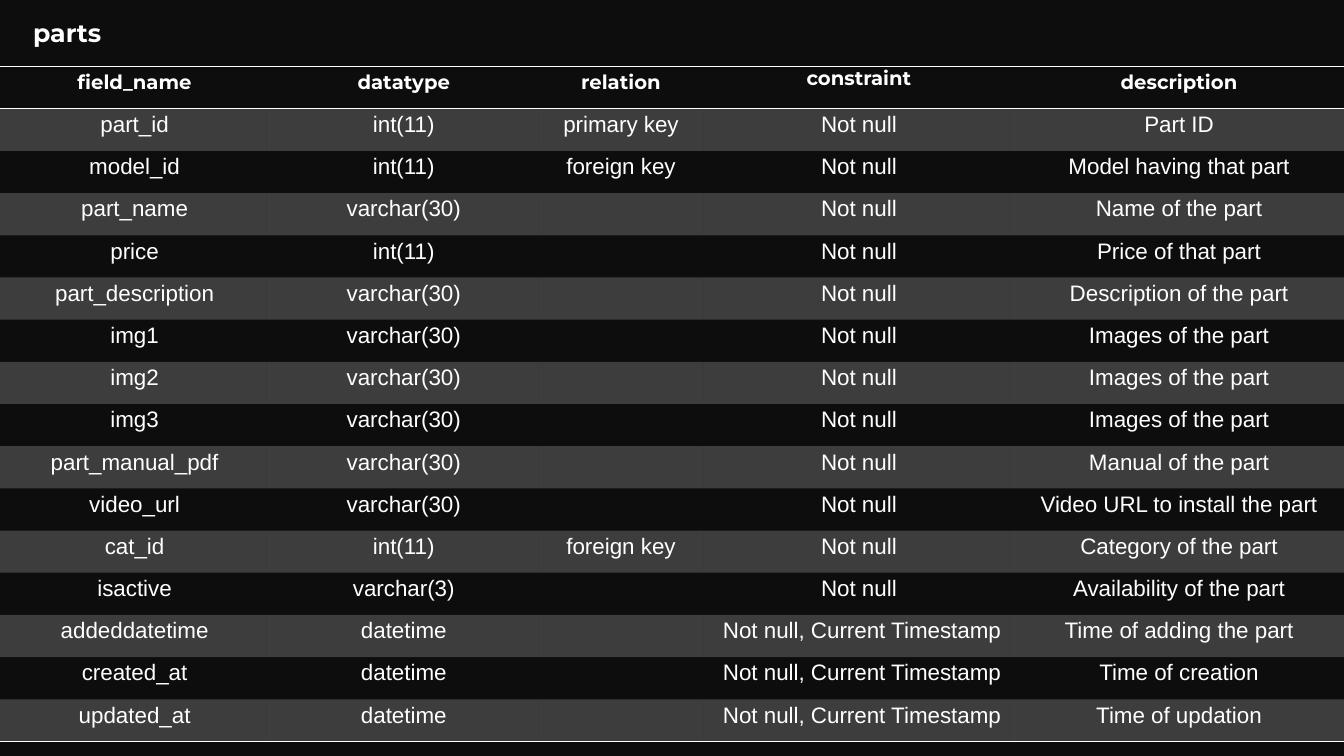
from dataclasses import dataclass

from lxml import etree
from pptx import Presentation
from pptx.dml.color import RGBColor
from pptx.enum.text import MSO_ANCHOR, PP_ALIGN
from pptx.oxml.ns import qn
from pptx.util import Inches, Pt

CENTER, LEFT = PP_ALIGN.CENTER, PP_ALIGN.LEFT
MIDDLE = MSO_ANCHOR.MIDDLE
PLAIN_TABLE_STYLE = "{2D5ABB26-0587-4C30-8999-92F81FD0307C}"

TITLE = "parts"
HEADERS = ("field_name", "datatype", "relation", "constraint", "description")
REQUIRED = "Not null"
STAMPED = " Not null, Current Timestamp"
FIELDS = [
    ("part_id", "int(11)", "primary key", REQUIRED, "Part ID"),
    ("model_id", "int(11)", "foreign key", REQUIRED, "Model having that part"),
    ("part_name", "varchar(30)", "", REQUIRED, "Name of the part"),
    ("price", "int(11)", "", REQUIRED, "Price of that part"),
    ("part_description", "varchar(30)", "", REQUIRED, "Description of the part"),
    ("img1", "varchar(30)", "", REQUIRED, "Images of the part"),
    ("img2", "varchar(30)", "", REQUIRED, "Images of the part"),
    ("img3", "varchar(30)", "", REQUIRED, "Images of the part"),
    ("part_manual_pdf", "varchar(30)", "", REQUIRED, "Manual of the part"),
    ("video_url", "varchar(30)", "", REQUIRED, "Video URL to install the part"),
    ("cat_id", "int(11)", "foreign key", REQUIRED, "Category of the part"),
    ("isactive", "varchar(3)", "", REQUIRED, "Availability of the part"),
    ("addeddatetime", "datetime", "", STAMPED, "Time of adding the part"),
    ("created_at", "datetime", "", STAMPED, "Time of creation"),
    ("updated_at", "datetime", "", STAMPED, "Time of updation"),
]
ROWS = [HEADERS, *FIELDS]

SLIDE_WIDTH, SLIDE_HEIGHT = 13.33, 7.5
TABLE_TOP, TABLE_HEIGHT = 0.66, 6.7
COLUMN_WIDTHS = (2.67, 2.67, 1.64, 3.08, 3.27)
CELL_INSET = 0.07


@dataclass(frozen=True)
class Theme:
    background: str = "0D0D0D"
    foreground: str = "FFFFFF"
    band_opacity: int = 20
    heading_font: str = "Montserrat"
    body_font: str = "Arial"
    title_size: int = 18
    header_size: int = 14
    body_size: int = 16
    rule_width: int = 1


THEME = Theme()


def write_text(frame, text, *, font, size, bold=False, align=LEFT, spacing=None, after=None):
    paragraph = frame.paragraphs[0]
    paragraph.alignment = align
    paragraph.line_spacing = spacing
    paragraph.space_after = None if after is None else Pt(after)
    run = paragraph.add_run()
    run.text = text
    run.font.name = font
    run.font.size = Pt(size)
    run.font.bold = bold
    run.font.color.rgb = RGBColor.from_string(THEME.foreground)


def fill_band(cell):
    cell.fill.solid()
    cell.fill.fore_color.rgb = RGBColor.from_string(THEME.foreground)
    color = cell.fill._xPr.find(f".//{qn('a:srgbClr')}")
    etree.SubElement(color, qn("a:alpha"), val=str(THEME.band_opacity * 1000))


def add_rule(cell, side):
    line = etree.Element(qn(f"a:{side}"), w=str(Pt(THEME.rule_width)))
    fill = etree.SubElement(line, qn("a:solidFill"))
    etree.SubElement(fill, qn("a:srgbClr"), val=THEME.foreground)
    cell._tc.get_or_add_tcPr().insert(0, line)


def format_cell(cell, text, row, column):
    is_header = row == 0
    cell.margin_left = cell.margin_right = Inches(CELL_INSET)
    cell.margin_top = cell.margin_bottom = 0
    if row % 2:
        fill_band(cell)
    else:
        cell.fill.background()
    if is_header or row == len(ROWS) - 1:
        add_rule(cell, "lnB")
    if is_header:
        add_rule(cell, "lnT")
    if text:
        compact = is_header and HEADERS[column] == "constraint"
        write_text(
            cell.text_frame, text, align=CENTER, bold=is_header,
            font=THEME.heading_font if is_header else THEME.body_font,
            size=THEME.header_size if is_header else THEME.body_size,
            spacing=None if compact else 1.15, after=None if compact else 10,
        )


def add_field_table(slide):
    frame = slide.shapes.add_table(
        len(ROWS), len(HEADERS), 0, Inches(TABLE_TOP), Inches(SLIDE_WIDTH), Inches(TABLE_HEIGHT)
    )
    table = frame.table
    table.first_row = table.horz_banding = False
    table._tbl.tblPr.find(qn("a:tableStyleId")).text = PLAIN_TABLE_STYLE
    for column, width in zip(table.columns, COLUMN_WIDTHS):
        column.width = Inches(width)
    for row_index, values in enumerate(ROWS):
        table.rows[row_index].height = Inches(TABLE_HEIGHT / len(ROWS))
        for column_index, text in enumerate(values):
            format_cell(table.cell(row_index, column_index), text, row_index, column_index)


def add_title(slide):
    box = slide.shapes.add_textbox(Inches(0.23), Inches(0.1), Inches(0.93), Inches(0.45))
    box.text_frame.word_wrap = False
    box.text_frame.vertical_anchor = MIDDLE
    write_text(box.text_frame, TITLE, font=THEME.heading_font, size=THEME.title_size, bold=True)


def main():
    presentation = Presentation()
    presentation.slide_width = Inches(SLIDE_WIDTH)
    presentation.slide_height = Inches(SLIDE_HEIGHT)
    slide = presentation.slides.add_slide(presentation.slide_layouts[6])
    slide.background.fill.solid()
    slide.background.fill.fore_color.rgb = RGBColor.from_string(THEME.background)
    add_field_table(slide)
    add_title(slide)
    presentation.save("out.pptx")


if __name__ == "__main__":
    main()
